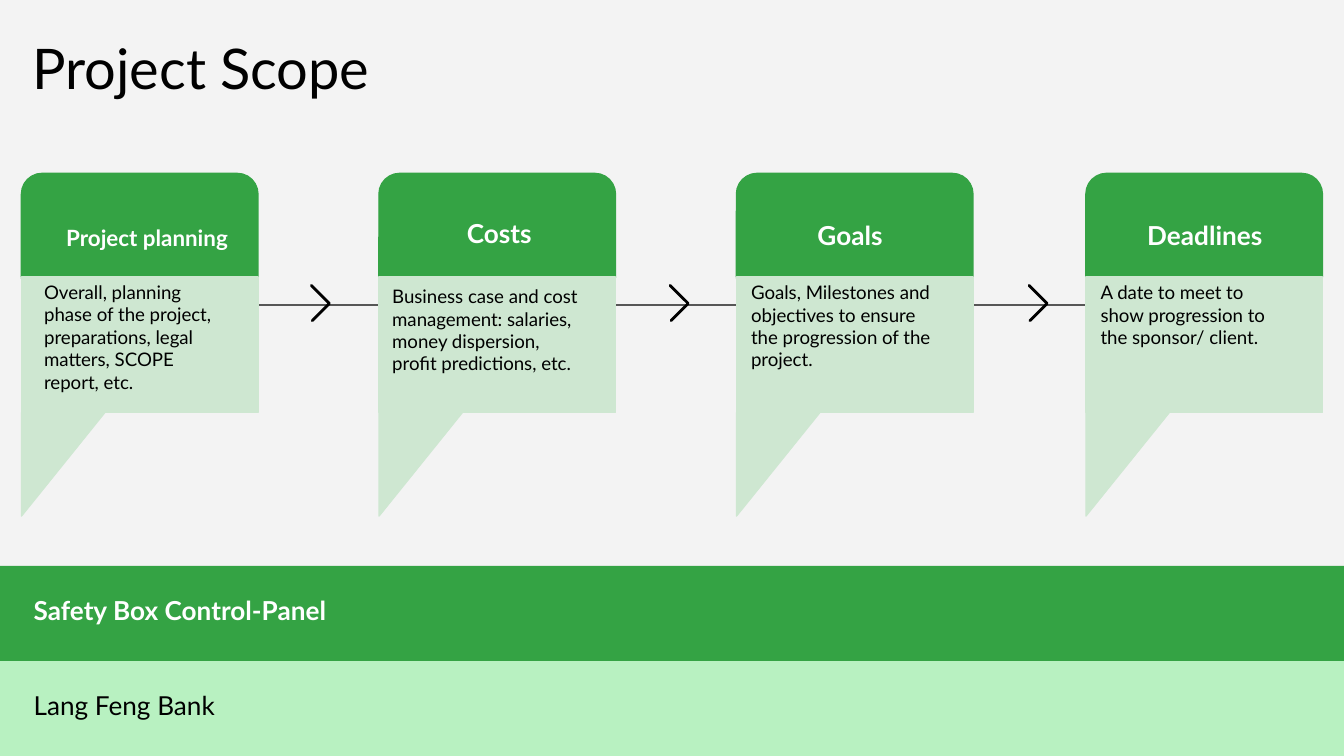
from pptx import Presentation
from pptx.dml.color import RGBColor
from pptx.enum.shapes import MSO_CONNECTOR, MSO_SHAPE
from pptx.enum.text import MSO_ANCHOR, MSO_AUTO_SIZE, PP_ALIGN
from pptx.oxml import parse_xml
from pptx.oxml.ns import nsdecls
from pptx.util import Inches, Pt

RECT = MSO_SHAPE.RECTANGLE
ROUND = MSO_SHAPE.ROUNDED_RECTANGLE
WEDGE = MSO_SHAPE.RIGHT_TRIANGLE
FRAME = MSO_SHAPE.HALF_FRAME
STRAIGHT = MSO_CONNECTOR.STRAIGHT
TOP = MSO_ANCHOR.TOP
GROW, FIXED = MSO_AUTO_SIZE.SHAPE_TO_FIT_TEXT, MSO_AUTO_SIZE.NONE
LEFT, CENTER = PP_ALIGN.LEFT, PP_ALIGN.CENTER

TITLE = "Project Scope"
CARDS = [
    {"x": 0.16, "head": "Project planning", "size": "label", "head_at": (0.3, 1.57),
     "text": "Overall, planning phase of the project, preparations, legal matters, SCOPE report, etc.",
     "text_at": (0.23, 1.99), "tall": 1.04},
    {"x": 2.82, "head": "Costs", "size": "head", "head_at": (2.92, 1.52),
     "text": "Business case and cost management: salaries, money dispersion, profit predictions, etc.",
     "text_at": (2.82, 2.02), "tall": 0.88},
    {"x": 5.48, "head": "Goals", "size": "head", "head_at": (5.53, 1.53),
     "text": "Goals, Milestones and objectives to ensure the progression of the project.",
     "text_at": (5.49, 1.99), "tall": 0.88},
    {"x": 8.08, "head": "Deadlines", "size": "head", "head_at": (8.17, 1.53),
     "text": "A date to meet to show progression to the sponsor/ client.",
     "text_at": (8.09, 1.99), "tall": 0.71},
]
BANDS = [
    {"text": "Safety Box Control-Panel", "fill": "green", "color": "white", "bold": True},
    {"text": "Lang Feng Bank", "fill": "mint", "color": "black", "bold": False},
]
THEME = {
    "font": "Lato",
    "color": {"back": "F3F3F3", "green": "34A344", "pale": "CEE7D1", "mint": "B8F1C1",
              "line": "565656", "black": "000000", "white": "FFFFFF"},
    "size": {"title": 30, "head": 14, "label": 12, "text": 10},
}
WIDE, HIGH = 10, 5.625
CARD_W, CARD_Y, SPLIT, CARD_END = 1.76, 1.29, 2.06, 3.07
TAIL_W, TAIL_H = 0.62, 0.77
TEXT_W = 1.59
BAND_Y, BAND_H = 4.21, 0.71
ARROW_X, ARROW_Y, ARROW_STEP = 2.23, 2.16, 2.67


def tint(name):
    return RGBColor.from_string(THEME["color"][name])


def put(item, *box):
    for key, value in zip(("left", "top", "width", "height"), box):
        setattr(item, key, Inches(value))


def write(item, text, size, color, bold=False, align=LEFT, pad=(0.1,) * 4, fit=GROW):
    frame = item.text_frame
    frame.text = text
    sides = ("margin_left", "margin_top", "margin_right", "margin_bottom")
    look = {"word_wrap": True, "auto_size": fit, "vertical_anchor": TOP}
    look.update(zip(sides, map(Inches, pad)))
    for key, value in look.items():
        setattr(frame, key, value)
    line = frame.paragraphs[0]
    for key, value in {"alignment": align, "space_before": Pt(0)}.items():
        setattr(line, key, value)
    font = line.runs[0].font
    look = {"name": THEME["font"], "size": Pt(THEME["size"][size]), "bold": bold}
    for key, value in look.items():
        setattr(font, key, value)
    font.color.rgb = tint(color)


def draw(kind, box, color, width=0.75, turn=0):
    item = slide.shapes.add_shape(kind, *map(Inches, box))
    item.shadow.inherit = False
    item.fill.solid()
    item.fill.fore_color.rgb = tint(color)
    item.line.color.rgb = tint(color)
    item.line.width = Pt(width)
    item.rotation = turn
    return item


def label(spot, tall, text, size, color, **look):
    item = slide.shapes.add_textbox(*map(Inches, (*spot, TEXT_W, tall)))
    write(item, text, size, color, **look)


deck = Presentation()
deck.slide_width, deck.slide_height = Inches(WIDE), Inches(HIGH)
slide = deck.slides.add_slide(deck.slide_layouts.get_by_name("Comparison"))
slide.background.fill.solid()
slide.background.fill.fore_color.rgb = tint("back")

title, upper, spare, lower, extra = slide.placeholders
for item in (spare, extra):
    item.element.getparent().remove(item.element)

put(title, 0.24, 0.25, 4.53, 0.58)
write(title, TITLE, "title", "black", pad=(0,) * 4, fit=FIXED)

for row, (item, band) in enumerate(zip((upper, lower), BANDS)):
    put(item, 0, BAND_Y + row * BAND_H, WIDE, BAND_H)
    item.fill.solid()
    item.fill.fore_color.rgb = tint(band["fill"])
    write(item, band["text"], "head", band["color"], bold=band["bold"],
          pad=(0.25, 0.21, 0.25, 0.12), fit=FIXED)

track = slide.shapes.add_connector(STRAIGHT, *map(Inches, (1.76, 2.27, 8.24, 2.27)))
track.line.color.rgb = tint("line")
track.line.width = Pt(1.5)
track.element.spPr.append(parse_xml(f"<a:effectLst {nsdecls('a')}/>"))

for card in CARDS:
    x = card["x"]
    draw(ROUND, (x, CARD_Y, CARD_W, 0.92), "green")
    draw(RECT, (x, SPLIT, CARD_W, CARD_END - SPLIT), "pale")
    shift = (TAIL_H - TAIL_W) / 2
    draw(WEDGE, (x - shift, CARD_END + shift, TAIL_H, TAIL_W), "pale", turn=90)
    label(card["head_at"], 0.44, card["head"], card["size"], "white", bold=True, align=CENTER)
    label(card["text_at"], card["tall"], card["text"], "text", "black")

for step in range(len(CARDS) - 1):
    arrow = draw(FRAME, (ARROW_X + step * ARROW_STEP, ARROW_Y, 0.18, 0.19), "black", 1.5, 135)
    for side in range(2):
        arrow.adjustments[side] = 0

deck.save("out.pptx")
